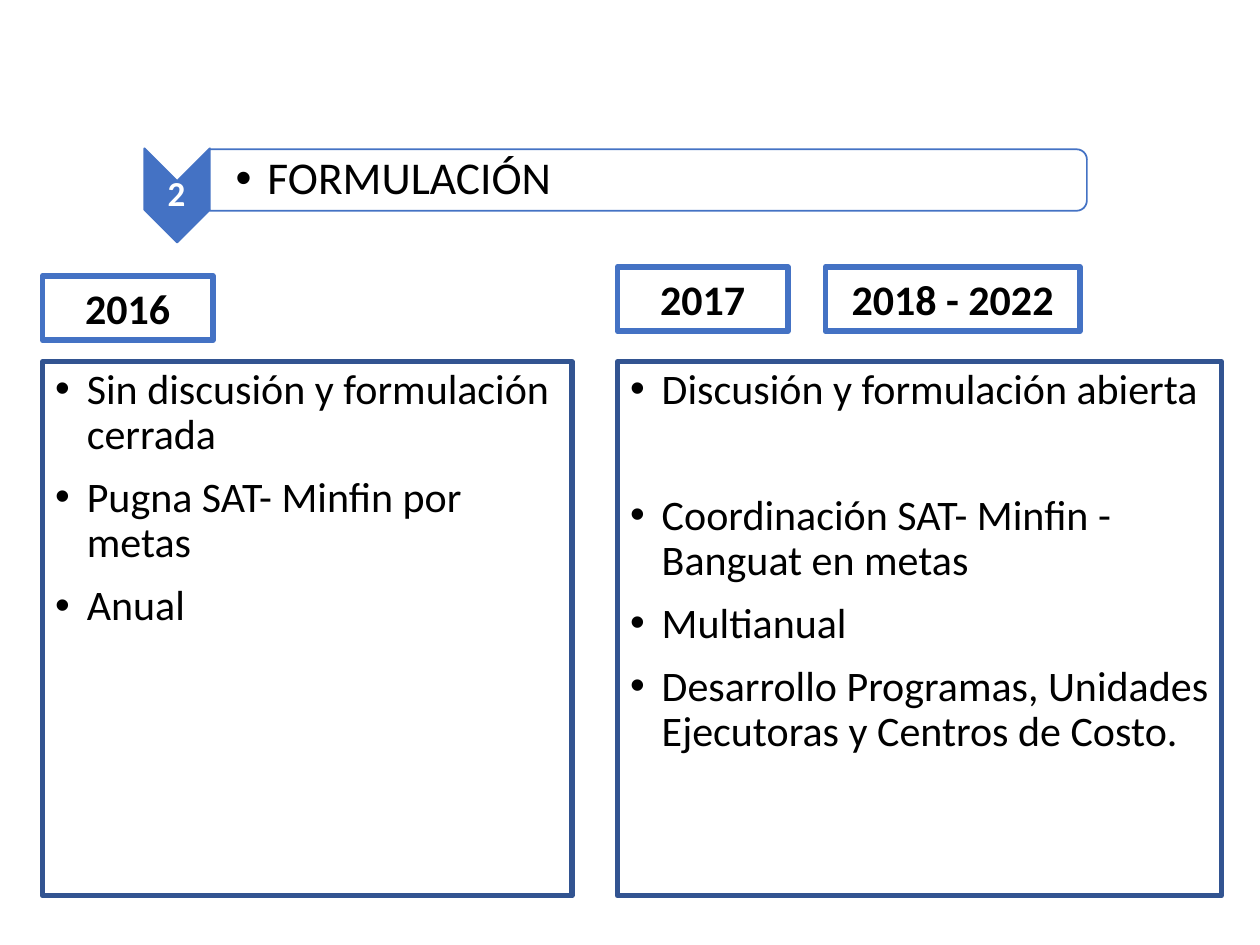
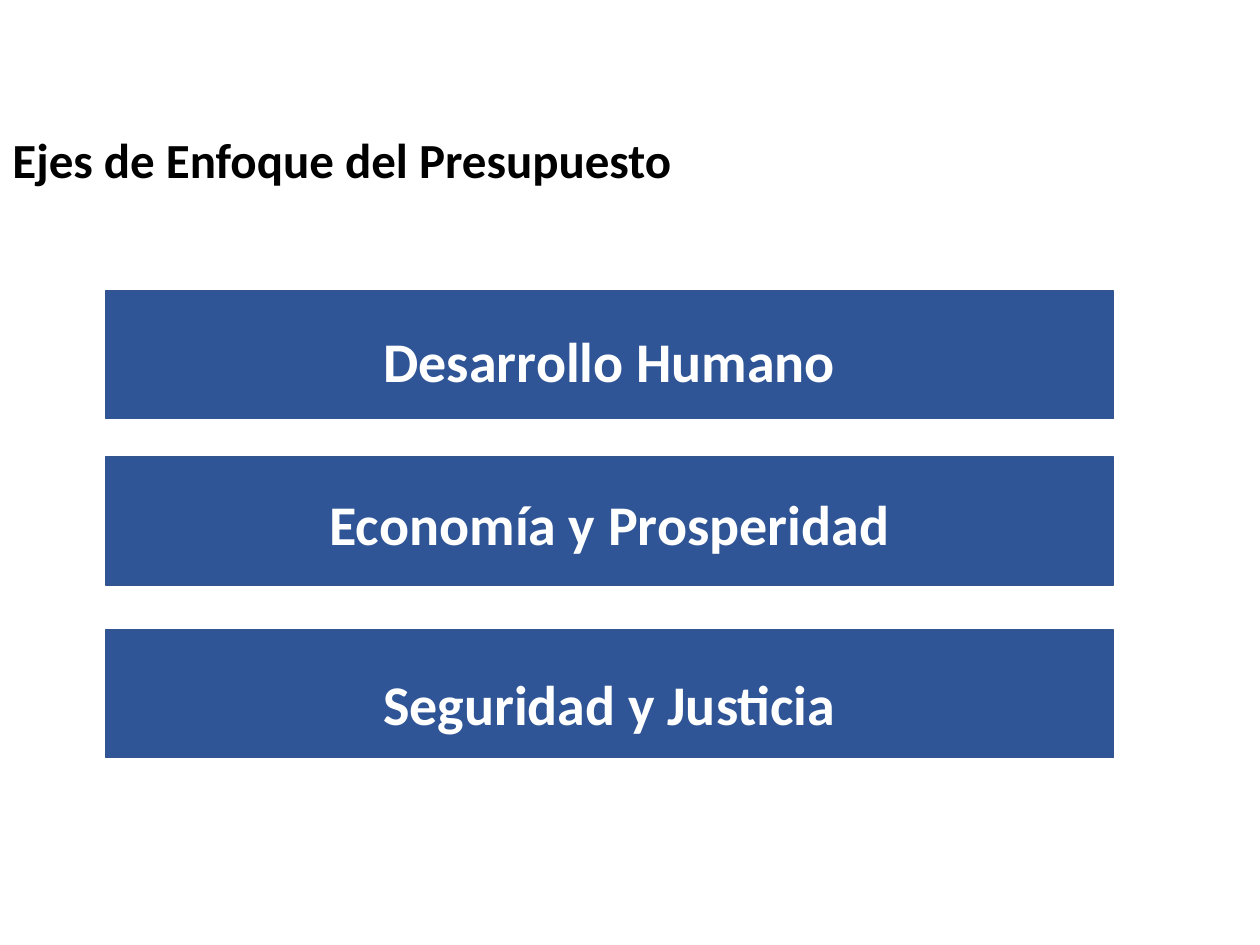
"""Build two slides on the formulation of the budget and its main axes."""
from lxml import etree
from pptx import Presentation
from pptx.dml.color import RGBColor
from pptx.enum.shapes import MSO_SHAPE
from pptx.enum.text import MSO_ANCHOR, MSO_AUTO_SIZE, PP_ALIGN
from pptx.oxml.ns import qn
from pptx.util import Cm, Pt

RECTANGLE = MSO_SHAPE.RECTANGLE
CHEVRON = MSO_SHAPE.CHEVRON
ROUNDED_END = MSO_SHAPE.ROUND_2_SAME_RECTANGLE
LEFT, CENTER = PP_ALIGN.LEFT, PP_ALIGN.CENTER
TOP, MIDDLE = MSO_ANCHOR.TOP, MSO_ANCHOR.MIDDLE
NO_AUTOFIT = MSO_AUTO_SIZE.NONE
TWO_CONTENT, TITLE_ONLY = 3, 5

FONT = "Calibri"
COLORS = {"text": "000000", "paper": "FFFFFF", "accent": "4472C4",
          "border": "325491", "band": "2F5597"}

STEP_NUMBER = "2"
STEP_TITLE = "FORMULACIÓN"
LEFT_X, RIGHT_X = 0.86, 12.45
PERIODS = [
    ("2016", (LEFT_X, 5.56, 3.43, 1.3)),
    ("2017", (RIGHT_X, 5.38, 3.43, 1.3)),
    ("2018 - 2022", (16.64, 5.38, 5.13, 1.3)),
]
BEFORE = ["Sin discusión y formulación cerrada",
          "Pugna SAT- Minfin por metas",
          "Anual"]
AFTER = ["Discusión y formulación abierta",
         "Coordinación SAT- Minfin - Banguat en metas",
         "Multianual",
         "Desarrollo Programas, Unidades Ejecutoras y Centros de Costo."]
COMPARISON = [
    (BEFORE, (LEFT_X, 7.29, 10.67, 10.77), [0, 10, 10]),
    (AFTER, (RIGHT_X, 7.29, 12.17, 10.77), [0, 46, 10, 10]),
]

AXES_TITLE = "Ejes de Enfoque del Presupuesto"
AXES = [
    ("Desarrollo Humano", 5.87, 6.45),
    ("Economía y Prosperidad", 9.22, 9.73),
    ("Seguridad y Justicia", 12.7, 13.36),
]
BAND_X, BAND_WIDTH, BAND_HEIGHT, AXIS_HEIGHT = 2.13, 20.32, 2.57, 1.63


def color(name):
    return RGBColor.from_string(COLORS[name])


def place(shape, rect):
    shape.left, shape.top, shape.width, shape.height = (Cm(n) for n in rect)


def paint(shape, fill=None, line=None, width=1):
    if fill:
        shape.fill.solid()
        shape.fill.fore_color.rgb = color(fill)
    else:
        shape.fill.background()
    if line:
        shape.line.color.rgb = color(line)
        shape.line.width = Pt(width)
    else:
        shape.line.fill.background()


def add_bullet(paragraph):
    properties = paragraph._p.get_or_add_pPr()
    properties.set("marL", str(Cm(0.64)))
    properties.set("indent", str(-Cm(0.64)))
    etree.SubElement(properties, qn("a:buFont")).set("typeface", "Arial")
    etree.SubElement(properties, qn("a:buChar")).set("char", "•")


def write(shape, lines, size=24, ink="text", bold=False, align=CENTER, anchor=TOP,
          bullets=False, spacing=1.0, before=None, margins=(0.25, 0.13, 0.25, 0.13)):
    frame = shape.text_frame
    frame.word_wrap = True
    frame.auto_size = NO_AUTOFIT
    frame.vertical_anchor = anchor
    (frame.margin_left, frame.margin_top,
     frame.margin_right, frame.margin_bottom) = (Cm(n) for n in margins)
    for index, line in enumerate(lines):
        paragraph = frame.paragraphs[0] if index == 0 else frame.add_paragraph()
        if bullets:
            add_bullet(paragraph)
        paragraph.alignment = align
        paragraph.line_spacing = spacing
        paragraph.space_before = Pt(before[index] if before else 0)
        run = paragraph.add_run()
        run.text = line
        run.font.name = FONT
        run.font.size = Pt(size)
        run.font.bold = bold
        run.font.color.rgb = color(ink)


def add_box(slide, kind, rect, **look):
    box = slide.shapes.add_shape(kind, *(Cm(n) for n in rect))
    box.shadow.inherit = False
    paint(box, **look)
    return box


def add_turned_box(slide, kind, rect, **look):
    x, y, width, height = rect
    shift = (width - height) / 2
    box = add_box(slide, kind, (x + shift, y - shift, height, width), **look)
    box.rotation = 90
    return box


def add_caption(slide, text, rect, **style):
    caption = slide.shapes.add_textbox(*(Cm(n) for n in rect))
    write(caption, [text], **style)


def build_formulation(deck):
    slide = deck.slides.add_slide(deck.slide_layouts[TWO_CONTENT])
    step_title, *columns = slide.placeholders
    for column, (points, rect, before) in zip(columns, COMPARISON):
        place(column, rect)
        paint(column, fill="paper", line="border", width=3)
        write(column, points, align=LEFT, bullets=True, spacing=0.9, before=before)

    add_turned_box(slide, CHEVRON, (2.91, 2.99, 1.32, 1.9), fill="accent", line="accent")
    add_caption(slide, STEP_NUMBER, (2.9, 3.66, 1.32, 0.56), size=20, ink="paper",
                bold=True, anchor=MIDDLE, spacing=0.9, margins=(0.03,) * 4)
    bar = add_turned_box(slide, ROUNDED_END, (4.23, 3.01, 17.68, 1.24),
                         fill="paper", line="accent")
    bar._element.addnext(step_title._element)
    place(step_title, (4.24, 3.07, 17.6, 1.12))
    write(step_title, [STEP_TITLE], size=26, align=LEFT, anchor=MIDDLE, bullets=True,
          spacing=0.9, margins=(0.51, 0.05, 0.05, 0.05))

    for period, rect in PERIODS:
        label = add_box(slide, RECTANGLE, rect, line="accent", width=3.25)
        write(label, [period], bold=True)


def build_axes(deck):
    slide = deck.slides.add_slide(deck.slide_layouts[TITLE_ONLY])
    heading = slide.shapes.title
    place(heading, (0, 2.49, 25.4, 1.45))
    paint(heading, fill="paper")
    write(heading, [AXES_TITLE], size=28, bold=True, align=LEFT)
    for axis, band_y, axis_y in AXES:
        add_box(slide, RECTANGLE, (BAND_X, band_y, BAND_WIDTH, BAND_HEIGHT),
                fill="band", line="border")
        add_caption(slide, axis, (BAND_X, axis_y, BAND_WIDTH, AXIS_HEIGHT),
                    size=32, ink="paper", bold=True)


def main():
    deck = Presentation()
    deck.slide_width, deck.slide_height = Cm(25.4), Cm(19.05)
    build_formulation(deck)
    build_axes(deck)
    deck.save("out.pptx")


if __name__ == "__main__":
    main()
